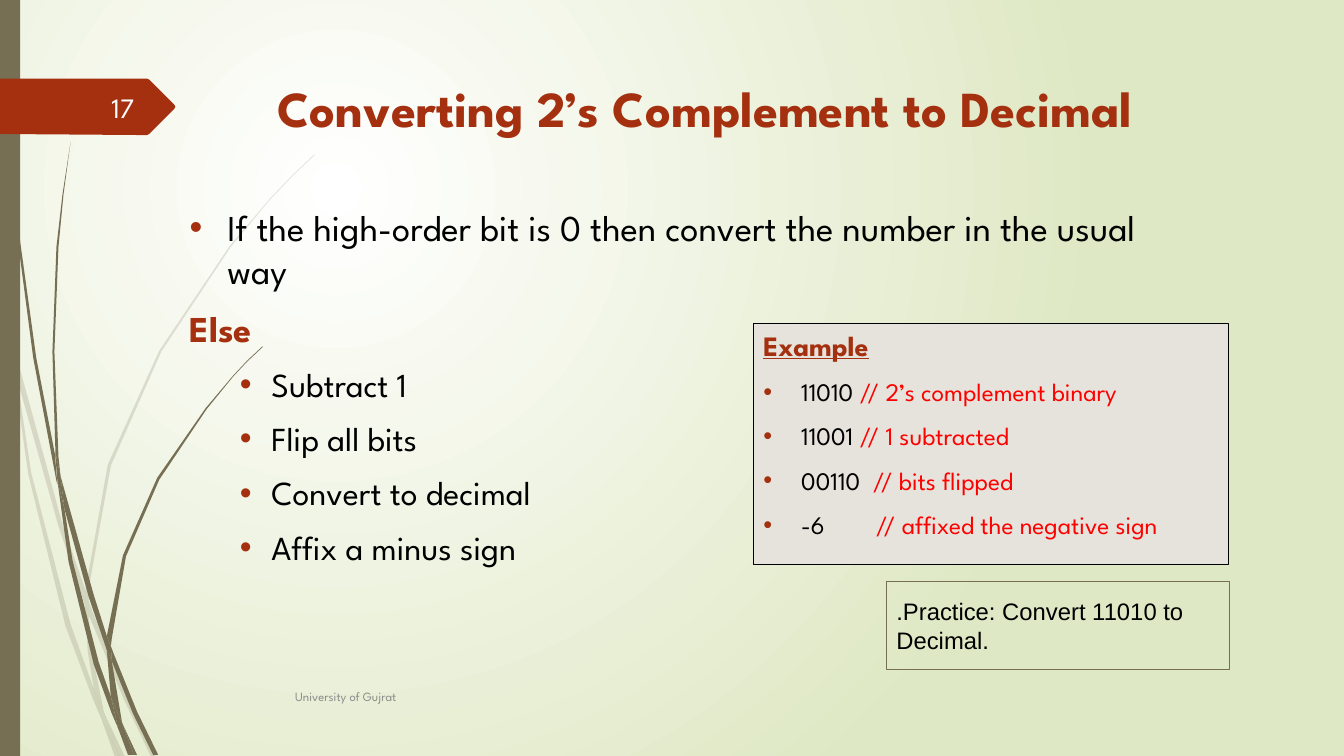
import pptx
import pptx.dml.color
import pptx.enum.shapes
import pptx.enum.text
import pptx.oxml.ns
import pptx.oxml.xmlchemy
import pptx.util
from lxml import etree

Pt = pptx.util.Pt
RGBColor = pptx.dml.color.RGBColor
Align = pptx.enum.text.PP_ALIGN
Anchor = pptx.enum.text.MSO_ANCHOR
AutoSize = pptx.enum.text.MSO_AUTO_SIZE
RECTANGLE = pptx.enum.shapes.MSO_SHAPE.RECTANGLE
qn = pptx.oxml.ns.qn

WHITE = RGBColor(0xFF, 0xFF, 0xFF)
PALE_GREEN = RGBColor(0xDF, 0xE8, 0xC4)
OLIVE = RGBColor(0x76, 0x6F, 0x54)
RUST = RGBColor(0xA5, 0x30, 0x10)
STONE = RGBColor(0xE5, 0xE3, 0xDB)
BLACK = RGBColor(0, 0, 0)
RED = RGBColor(0xFF, 0, 0)
GREY = RGBColor(0x8C, 0x8C, 0x8C)
NUMBER_WHITE = RGBColor(0xFE, 0xFF, 0xFF)
SPARTAN = "League Spartan"

# Outlines are on a grid of 0.72 pt.
GRID = Pt(0.72)
PALE_STEMS = [
    [(11, 350), (9, 322), (0, 282), (0, 299), (10, 344)],
    [(58, 522), (84, 599), (85, 586), (62, 520), (14, 345), (17, 376)],
    [(92, 607), (88, 596), (88, 610), (123, 694), (150, 751), (155, 751), (127, 692)],
    [(119, 751), (124, 751), (105, 711)],
    [(93, 683), (70, 619), (31, 469), (17, 376), (11, 350), (28, 470), (65, 621),
     (92, 693), (101, 714), (99, 707)],
    [(84, 599), (87, 646), (93, 683), (96, 692), (105, 711), (103, 706), (91, 646),
     (88, 610), (88, 608)],
    [(88, 584), (110, 462), (160, 349), (229, 245), (268, 198), (290, 175), (312, 154),
     (312, 153), (289, 175), (268, 197), (228, 244), (158, 348), (107, 461), (85, 584),
     (85, 586), (88, 596)],
    [(101, 714), (114, 751), (119, 751)],
    [(88, 608), (88, 610), (88, 596), (85, 586), (84, 599)],
    [(96, 692), (93, 683), (99, 707), (101, 714), (119, 751), (105, 711)],
]
DARK_STEMS = [
    [(7, 110), (17, 233), (33, 355), (56, 477), (57, 481), (55, 457), (55, 453), (36, 355),
     (19, 232), (8, 109), (5, 48), (4, 0), (3, 0), (4, 48)],
    [(88, 592), (106, 645), (106, 633), (106, 631), (93, 590), (60, 472), (64, 505)],
    [(113, 649), (110, 641), (111, 656), (132, 708), (152, 749), (157, 749), (136, 706)],
    [(110, 691), (98, 657), (72, 556), (64, 505), (57, 477), (68, 557), (93, 659),
     (111, 708), (117, 722), (116, 717)],
    [(60, 472), (58, 453), (54, 349), (58, 245), (63, 193), (70, 141), (62, 193),
     (56, 245), (52, 349), (55, 449)],
    [(133, 749), (136, 749), (122, 719)],
    [(57, 477), (64, 505), (60, 472), (55, 449), (55, 453)],
    [(111, 633), (125, 552), (158, 476), (205, 406), (231, 374), (245, 359), (261, 344),
     (260, 344), (245, 358), (231, 373), (204, 405), (156, 474), (122, 551), (106, 631),
     (110, 641)],
    [(117, 722), (127, 749), (131, 749)],
    [(106, 645), (110, 691), (116, 706), (122, 719), (121, 716), (111, 656), (109, 651)],
    [(106, 645), (109, 651), (111, 656), (110, 641), (106, 631), (106, 633)],
    [(116, 706), (110, 691), (116, 717), (117, 722), (130, 749), (133, 749), (122, 719)],
]
BANNER = [(173, 108), (148, 133), (146, 134), (136, 134), (0, 133), (0, 78), (136, 78),
          (146, 78), (148, 79), (173, 104), (174, 106)]

STEPS = ["Subtract 1", "Flip all bits", "Convert to decimal", "Affix a minus sign"]
# Value, comment, and extra width in points of the space between them.
EXAMPLE_LINES = [
    ("11010", "// 2’s complement binary", 0),
    ("11001", "// 1 subtracted", 0),
    ("00110", "// bits flipped", 4.5),
    ("-6", "// affixed the negative sign", 32),
]


def write(paragraph, text, size, color, font=SPARTAN, bold=False, underline=False, spread=0):
    """Add a run; spread is extra letter spacing in points."""
    run = paragraph.add_run()
    run.text = text
    run.font.name, run.font.size = font, Pt(size)
    run.font.bold, run.font.underline = bold, underline
    run.font.color.rgb = color
    if spread:
        run.font._element.set("spc", str(round(spread * 100)))


def next_paragraph(frame, level=0, margin=0, hang=0):
    """Start a paragraph; a hang gives it a bullet."""
    first = frame.paragraphs[0]
    paragraph = frame.add_paragraph() if first.runs else first
    paragraph.level = level
    paragraph.space_before = Pt(10)
    properties = paragraph._p.get_or_add_pPr()
    properties.set("marL", str(Pt(margin)))
    properties.set("indent", str(Pt(-hang)))
    if hang:
        color = etree.SubElement(properties, qn("a:buClr"))
        etree.SubElement(color, qn("a:srgbClr"), val=str(RUST))
        etree.SubElement(properties, qn("a:buFont"), typeface="Arial")
        etree.SubElement(properties, qn("a:buChar"), char="•")
    else:
        etree.SubElement(properties, qn("a:buNone"))
    return paragraph


def place(shape, box):
    shape.left, shape.top, shape.width, shape.height = map(Pt, box)


def set_frame(shape, anchor=Anchor.TOP, insets=(7.2, 3.6, 7.2, 3.6), fit=AutoSize.NONE):
    frame = shape.text_frame
    frame.word_wrap, frame.auto_size, frame.vertical_anchor = True, fit, anchor
    (frame.margin_left, frame.margin_top,
     frame.margin_right, frame.margin_bottom) = map(Pt, insets)
    return frame


def add_panel(shapes, box, fill=None, line=None):
    panel = shapes.add_shape(RECTANGLE, *map(Pt, box))
    paint(panel, fill, line)
    return panel


def paint(shape, fill=None, line=None):
    shape.shadow.inherit = False
    if fill is None:
        shape.fill.background()
    else:
        shape.fill.solid()
        shape.fill.fore_color.rgb = fill
    if line is None:
        shape.line.fill.background()
    else:
        shape.line.color.rgb = line
        shape.line.width = Pt(0.75)


def add_outline(shapes, points, fill, left, top, opacity=100):
    builder = shapes.build_freeform(*points[0], scale=GRID)
    builder.add_line_segments(points[1:], close=True)
    outline = builder.convert_to_shape(Pt(left), Pt(top))
    paint(outline, fill)
    if opacity < 100:
        color = outline.element.find(".//" + qn("a:srgbClr"))
        etree.SubElement(color, qn("a:alpha"), val=str(opacity * 1000))


def paint_background(slide):
    fill = slide.background.fill
    fill.gradient()
    for stop, color in zip(fill.gradient_stops, (WHITE, PALE_GREEN)):
        stop.color.rgb = color
    gradient = slide.element.find(".//" + qn("a:gradFill"))
    gradient.remove(gradient.find(qn("a:lin")))
    circle = etree.SubElement(gradient, qn("a:path"), path="circle")
    etree.SubElement(circle, qn("a:fillToRect"), l="50000", t="50000", r="100000", b="100000")


def add_decoration(shapes, left, top, height):
    for stems, opacity in ((PALE_STEMS, 20), (DARK_STEMS, 100)):
        cluster = shapes.add_group_shape().shapes
        for stem in stems:
            add_outline(cluster, stem, OLIVE, left, top, opacity)
    add_panel(shapes, (left, top, 14.4, height), OLIVE)
    add_outline(shapes, BANNER, RUST, left, top)


def fill_title(title, box):
    place(title, box)
    paragraph = set_frame(title, Anchor.BOTTOM, (0, 3.6, 0, 0)).paragraphs[0]
    paragraph.alignment = Align.CENTER
    write(paragraph, "Converting 2’s Complement to Decimal", 36, RUST, bold=True)


def fill_body(body, box):
    place(body, box)
    frame = set_frame(body)
    write(next_paragraph(frame, margin=27, hang=27),
          "If the high-order bit is 0 then convert the number in the usual way", 26, BLACK)
    write(next_paragraph(frame), "Else", 26, RUST, bold=True)
    for step in STEPS:
        write(next_paragraph(frame, level=1, margin=58.5, hang=22.5), step, 24, BLACK)


def add_label(shapes, box, text, size, color, align):
    label = shapes.add_textbox(*map(Pt, box))
    paragraph = set_frame(label, Anchor.MIDDLE).paragraphs[0]
    paragraph.alignment = align
    write(paragraph, text, size, color)


def add_example(shapes, box):
    frame = set_frame(add_panel(shapes, box, STONE, BLACK))
    heading = next_paragraph(frame)
    heading.alignment = Align.LEFT
    write(heading, "Example", 20, RUST, bold=True, underline=True)
    for value, comment, gap in EXAMPLE_LINES:
        paragraph = next_paragraph(frame, margin=27, hang=27)
        paragraph.alignment = Align.LEFT
        write(paragraph, value, 18, BLACK)
        write(paragraph, " ", 18, BLACK, spread=gap)
        write(paragraph, comment, 18, RED)


def add_practice(shapes, box):
    panel = add_panel(shapes, box, line=OLIVE)
    frame = set_frame(panel, insets=(7.2, 10.8, 7.2, 10.8), fit=AutoSize.SHAPE_TO_FIT_TEXT)
    frame.paragraphs[0].alignment = Align.LEFT
    write(frame.paragraphs[0], ".Practice: Convert 11010 to Decimal.", 17, BLACK, font="Arial")


def main():
    deck = pptx.Presentation()
    deck.slide_width, deck.slide_height = Pt(960), Pt(540)
    slide = deck.slides.add_slide(deck.slide_layouts[1])
    shapes = slide.shapes
    title, body = slide.placeholders[0], slide.placeholders[1]
    paint_background(slide)
    add_decoration(shapes, 0, 0, 540)
    for placeholder in (body, title):  # bring in front of the decoration
        placeholder.element.getparent().append(placeholder.element)
    fill_body(body, (128.2, 142.6, 702, 297.4))
    add_label(shapes, (203.8, 483.1, 599.8, 28.8), "University of Gujrat", 9, GREY, Align.LEFT)
    add_label(shapes, (41.8, 61.9, 61.2, 28.8), "17", 20, NUMBER_WHITE, Align.RIGHT)
    fill_title(title, (118.1, 8.6, 771.1, 90))
    add_example(shapes, (538.2, 231.4, 339.5, 171.8))
    add_practice(shapes, (633.2, 415.4, 244.8, 63.2))
    deck.save("out.pptx")


if __name__ == "__main__":
    main()
